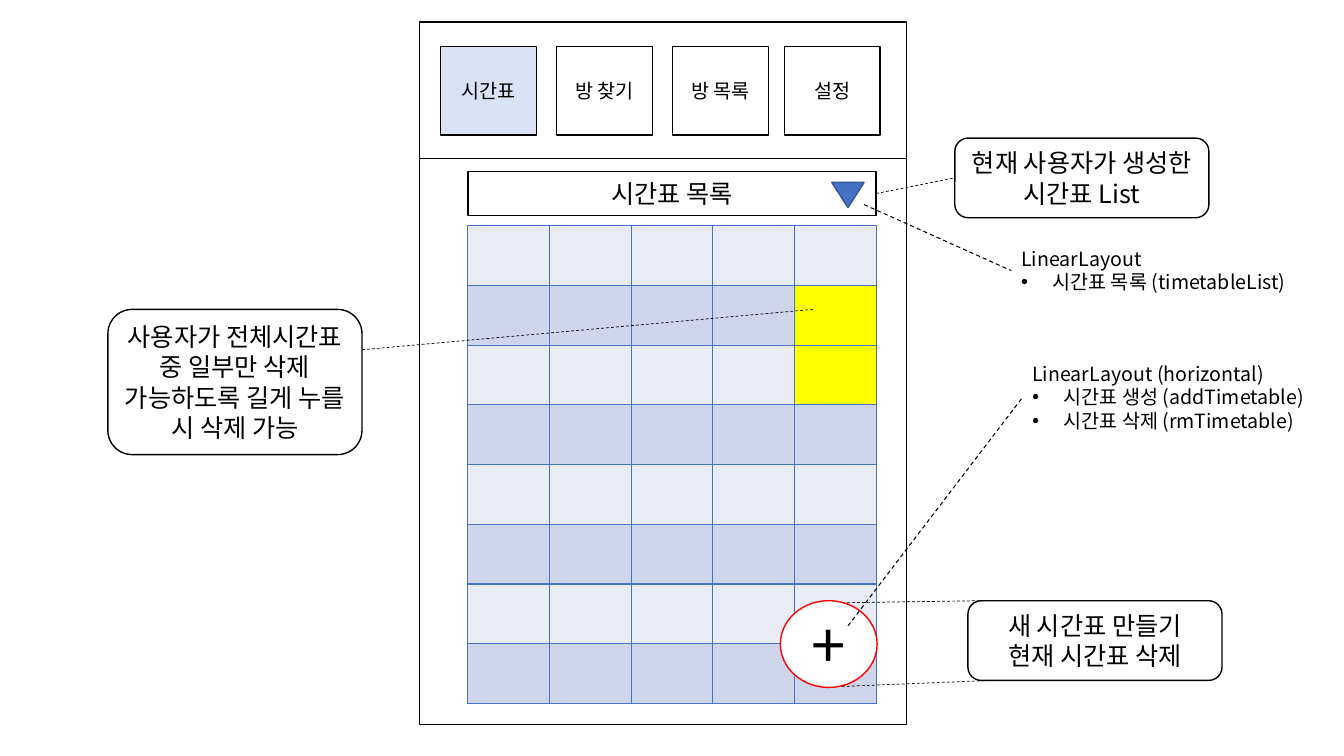
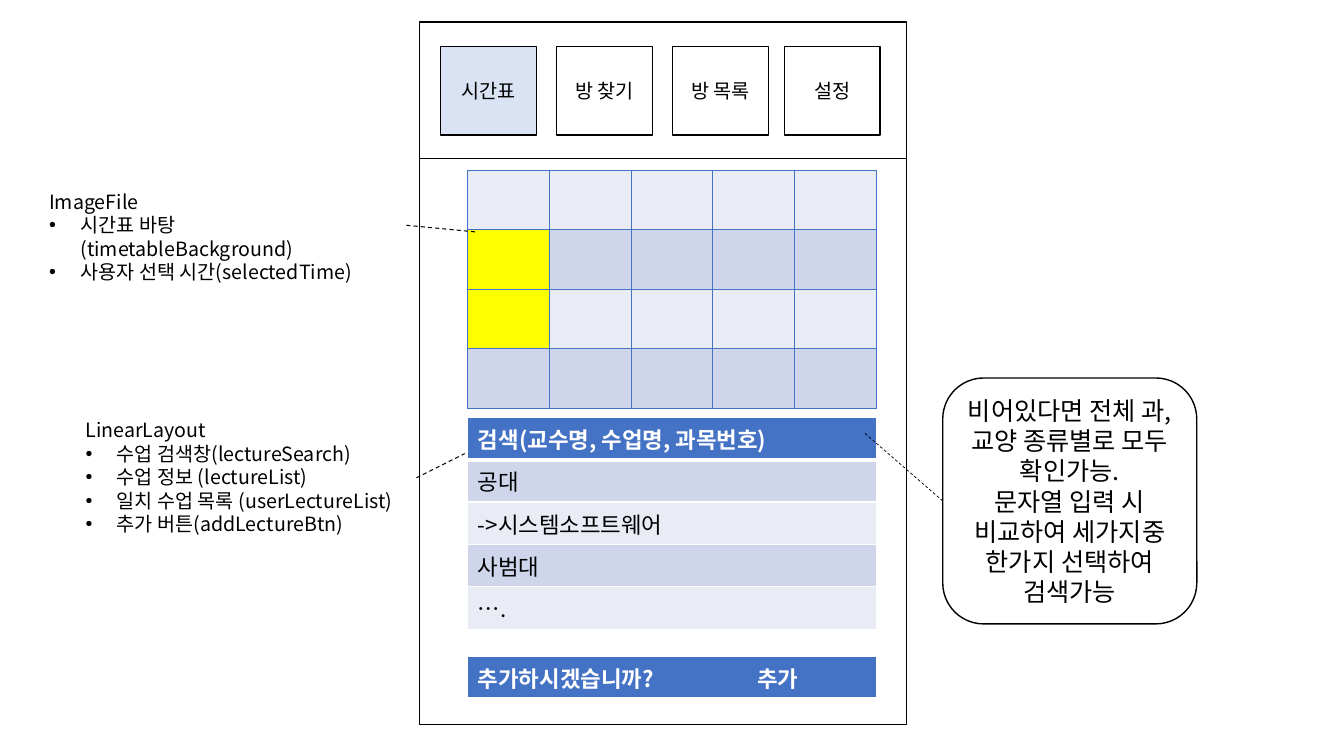
import pptx
import pptx.util
import pptx.dml.color
import pptx.enum.dml
import pptx.enum.shapes
import pptx.enum.text
import pptx.oxml
import pptx.oxml.ns
import lxml.etree

Inches = pptx.util.Inches
Pt = pptx.util.Pt
SHAPE = pptx.enum.shapes.MSO_SHAPE
ALIGN = pptx.enum.text.PP_ALIGN
ANCHOR = pptx.enum.text.MSO_ANCHOR

FONT = "Noto Sans CJK KR"
COLORS = {
    "ink": "000000",
    "paper": "FFFFFF",
    "active": "DAE3F3",
    "accent": "4472C4",
    "accent_edge": "325491",
    "band_light": "E9EBF5",
    "band_dark": "CFD5EA",
    "selected": "FFFF00",
    "alert": "FF0000",
}
PHONE = (4.16, 0.22, 4.83, 6.97)
TABS = ("시간표", "방 찾기", "방 목록", "설정")
TAB_OFFSETS = (0.21, 1.36, 2.51, 3.62)
CONTENT_LEFT, CONTENT_WIDTH = 4.64, 4.05
SIDES = ("L", "R", "T", "B")


def color(name):
    return pptx.dml.color.RGBColor.from_string(COLORS[name])


def set_values(target, values):
    for name, value in values.items():
        setattr(target, name, value)


def add_element(parent, tag, **attributes):
    element = lxml.etree.SubElement(parent, pptx.oxml.ns.qn(tag))
    for name, value in attributes.items():
        element.set(name, str(value))
    return element


def add_span(para, text, size, ink="ink", bold=False):
    span = para.add_run()
    span.text = text
    set_values(span.font, {"size": Pt(size), "bold": bold, "name": FONT})
    span.font.color.rgb = color(ink)
    add_element(span.font._element, "a:ea", typeface=FONT)


def add_paragraphs(frame, texts, size, align):
    """Fill the frame with one paragraph per text and return the paragraphs."""
    for index, text in enumerate(texts):
        para = frame.add_paragraph() if index else frame.paragraphs[0]
        set_values(para, {"alignment": align, "line_spacing": Pt(size * 1.2)})
        add_span(para, text, size)
    return frame.paragraphs


def add_box(page, bounds, texts=(), size=18, kind=SHAPE.RECTANGLE,
            fill="paper", edge="ink"):
    box = page.shapes.add_shape(kind, *map(Inches, bounds))
    box.shadow.inherit = False
    box.fill.solid()
    box.fill.fore_color.rgb = color(fill)
    box.line.color.rgb = color(edge)
    box.line.width = Pt(1)
    set_values(box.text_frame, {"word_wrap": True, "vertical_anchor": ANCHOR.MIDDLE})
    add_paragraphs(box.text_frame, texts, size, ALIGN.CENTER)
    return box


def add_callout(page, bounds, *texts):
    return add_box(page, bounds, texts, kind=SHAPE.ROUNDED_RECTANGLE)


def add_line(page, start, end, width=0.5, dashed=True, begin=None, finish=None):
    """Draw a line; begin and finish are optional (shape, side) joints."""
    line = page.shapes.add_connector(
        pptx.enum.shapes.MSO_CONNECTOR.STRAIGHT, *map(Inches, start + end))
    if begin:
        line.begin_connect(*begin)
    if finish:
        line.end_connect(*finish)
    line.line.color.rgb = color("ink")
    line.line.width = Pt(width)
    if dashed:
        line.line.dash_style = pptx.enum.dml.MSO_LINE.DASH
    add_element(line._element.spPr, "a:effectLst")
    return line


def add_note(page, bounds, title, bullets, right_margin=0):
    """Write a plain title line followed by bulleted lines."""
    note = page.shapes.add_textbox(*map(Inches, bounds))
    set_values(note.text_frame, {"word_wrap": True, "margin_right": Inches(right_margin)})
    paras = add_paragraphs(note.text_frame, (title, *bullets), 14, ALIGN.LEFT)
    for para in paras[1:]:
        properties = para._p.get_or_add_pPr()
        properties.set("marL", str(Inches(0.31)))
        properties.set("indent", str(-Inches(0.31)))
        add_element(properties, "a:buFont", typeface="Arial")
        add_element(properties, "a:buChar", char="•")
    return note


def style_cell(cell, fill, edge, bottom_width=1):
    properties = cell._tc.get_or_add_tcPr()
    for side in SIDES:
        width = bottom_width if side == "B" else 1
        border = add_element(properties, "a:ln" + side, w=Pt(width))
        solid = add_element(border, "a:solidFill")
        add_element(solid, "a:srgbClr", val=COLORS[edge])
    cell.fill.solid()
    cell.fill.fore_color.rgb = color(fill)


def add_table(page, bounds, rows, columns):
    table = page.shapes.add_table(rows, columns, *map(Inches, bounds)).table
    set_values(table, {"first_row": False, "horz_banding": False})
    for row in table.rows:
        row.height = Inches(bounds[3] / rows)
    return table


def add_timetable(page, top, height, rows, selected):
    """Draw the five-day grid; selected holds (row, column) pairs."""
    table = add_table(page, (CONTENT_LEFT, top, CONTENT_WIDTH, height), rows, 5)
    for row in range(rows):
        band = "band_dark" if row % 2 else "band_light"
        for column in range(5):
            fill = "selected" if (row, column) in selected else band
            style_cell(table.cell(row, column), fill, "accent")


def add_list_table(page, top, height, texts):
    """Draw a one-column list whose first row is a bold heading."""
    table = add_table(page, (CONTENT_LEFT, top, CONTENT_WIDTH, height), len(texts), 1)
    for row, text in enumerate(texts):
        cell = table.cell(row, 0)
        para = cell.text_frame.paragraphs[0]
        if row == 0:
            style_cell(cell, "accent", "paper", 3)
            add_span(para, text, 16, "paper", True)
        else:
            style_cell(cell, "band_dark" if row % 2 else "band_light", "paper")
            add_span(para, text, 16)
    return table


def add_phone(page, bounds):
    """Draw the phone outline with its four menu tabs."""
    left, top, width, _ = bounds
    add_box(page, bounds)
    for index, (label, offset) in enumerate(zip(TABS, TAB_OFFSETS)):
        add_box(page, (left + offset, top + 0.24, 0.95, 0.88), [label], 14,
                fill="paper" if index else "active")
    divider = top + 1.35
    add_line(page, (left, divider), (left + width, divider), dashed=False)


def build_timetable_page(page):
    add_phone(page, PHONE)
    selector = add_box(page, (CONTENT_LEFT, 1.7, CONTENT_WIDTH, 0.44), ["시간표 목록"])
    add_timetable(page, 2.24, 4.74, 8, {(1, 4), (2, 4)})
    arrow = add_box(page, (8.25, 1.81, 0.32, 0.25), kind=SHAPE.ISOSCELES_TRIANGLE,
                    fill="accent", edge="accent_edge")
    arrow.rotation = 180

    add_callout(page, (9.6, 5.96, 2.52, 0.79), "새 시간표 만들기", "현재 시간표 삭제")
    add_line(page, (8.35, 5.98), (9.7, 5.96))
    add_line(page, (8.35, 6.81), (9.83, 6.75))
    add_box(page, (7.74, 5.96, 0.96, 0.86), ["+"], 44, SHAPE.OVAL, edge="alert")

    list_callout = add_callout(page, (9.47, 1.37, 2.52, 0.79),
                               "현재 사용자가 생성한 시간표 List")
    add_line(page, (8.69, 1.92), (9.47, 1.77),
             begin=(selector, 3), finish=(list_callout, 1))

    button_note = add_note(page, (10.14, 3.54, 2.97, 0.81), "LinearLayout (horizontal)",
                           ("시간표 생성 (addTimetable)", "시간표 삭제 (rmTimetable)"))
    add_line(page, (8.41, 6.21), (10.14, 3.95), 0.75, finish=(button_note, 1))
    list_note = add_note(page, (10.03, 2.4, 2.97, 0.57), "LinearLayout",
                         ["시간표 목록 (timetableList)"])
    add_line(page, (8.57, 2.03), (10.03, 2.68), 0.75, finish=(list_note, 1))

    add_callout(page, (1.07, 3.07, 2.52, 1.44),
                "사용자가 전체시간표 중 일부만 삭제 가능하도록 길게 누를 시 삭제 가능")
    add_line(page, (3.59, 3.47), (8.06, 3.07))


def build_search_page(page):
    add_phone(page, PHONE)
    add_timetable(page, 1.69, 2.36, 4, {(1, 0), (2, 0)})
    add_list_table(page, 4.14, 2.1, (
        "검색(교수명, 수업명, 과목번호)", "공대", "->시스템소프트웨어", "사범대", "…."))
    confirm = add_list_table(page, 6.51, 0.39, ["추가하시겠습니까?\t추가"])
    properties = confirm.cell(0, 0).text_frame.paragraphs[0]._p.get_or_add_pPr()
    stops = add_element(properties, "a:tabLst")
    add_element(stops, "a:tab", pos=Inches(2.77), algn="l")

    search_callout = add_callout(
        page, (9.35, 3.75, 2.52, 2.44),
        "비어있다면 전체 과, 교양 종류별로 모두 확인가능.",
        "문자열 입력 시 비교하여 세가지중 한가지 선택하여 검색가능")
    add_line(page, (8.58, 4.3), (9.35, 4.97), finish=(search_callout, 1))

    lecture_note = add_note(page, (0.75, 4.1, 3.38, 1.28), "LinearLayout", (
        "수업 검색창(lectureSearch)", "수업 정보 (lectureList)",
        "일치 수업 목록 (userLectureList)", "추가 버튼(addLectureBtn)"))
    add_line(page, (4.13, 4.74), (4.61, 4.5), 0.75, begin=(lecture_note, 3))
    image_note = add_note(page, (0.39, 1.83, 3.64, 0.81), "ImageFile", (
        "시간표 바탕 (timetableBackground)", "사용자 선택 시간(selectedTime)"), 0.24)
    add_line(page, (4.03, 2.23), (4.71, 2.3), 0.75, begin=(image_note, 3))


def main():
    deck = pptx.Presentation()
    set_values(deck, {"slide_width": Inches(13.33), "slide_height": Inches(7.5)})
    for build in (build_timetable_page, build_search_page):
        build(deck.slides.add_slide(deck.slide_layouts[6]))
    deck.save("out.pptx")


if __name__ == "__main__":
    main()
